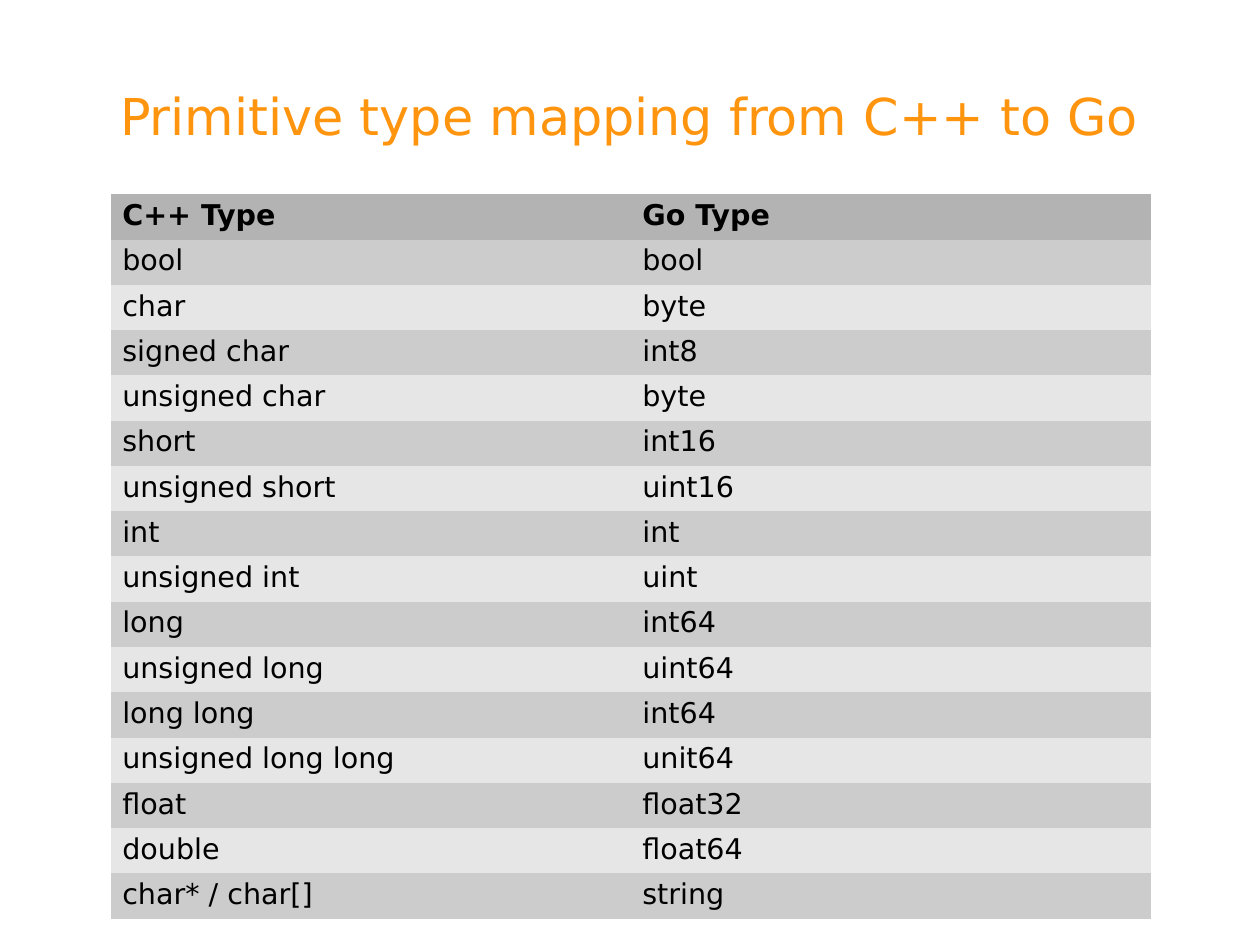
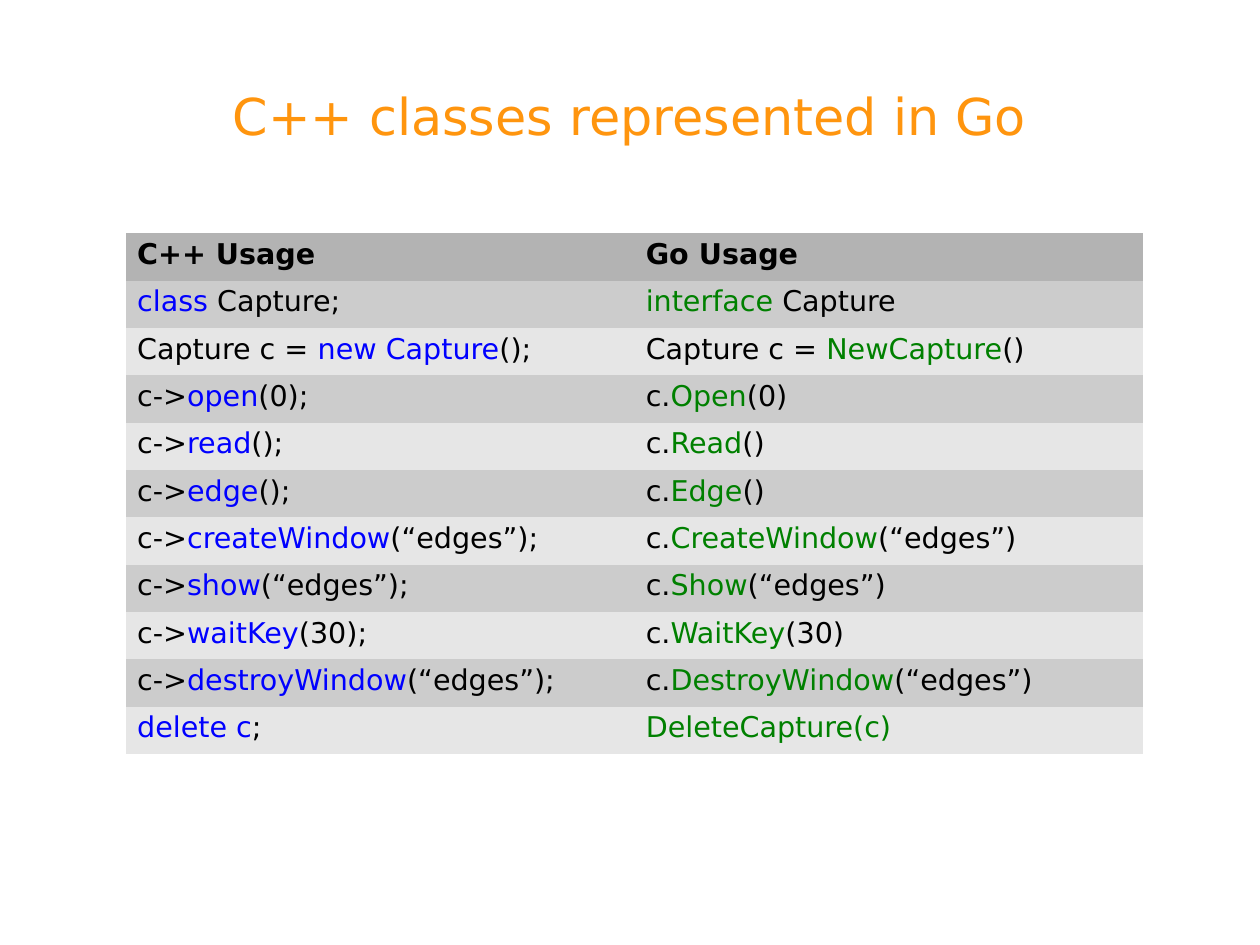
from pptx import Presentation
from pptx.dml.color import RGBColor
from pptx.enum.text import MSO_ANCHOR, PP_ALIGN
from pptx.util import Inches, Pt

CENTER = PP_ALIGN.CENTER
MIDDLE = MSO_ANCHOR.MIDDLE
BLANK = 6
CM_PER_INCH = 2.54
PLAIN_TABLE = "{2D5ABB26-0587-4C30-8999-92F81FD0307C}"

TYPES = [
    ("C++ Type", "Go Type"),
    ("bool", "bool"),
    ("char", "byte"),
    ("signed char", "int8"),
    ("unsigned char", "byte"),
    ("short", "int16"),
    ("unsigned short", "uint16"),
    ("int", "int"),
    ("unsigned int", "uint"),
    ("long", "int64"),
    ("unsigned long", "uint64"),
    ("long long", "int64"),
    ("unsigned long long", "unit64"),
    ("float", "float32"),
    ("double", "float64"),
    ("char* / char[]", "string"),
]

CALLS = [
    ("open", "0"),
    ("read", ""),
    ("edge", ""),
    ("createWindow", "“edges”"),
    ("show", "“edges”"),
    ("waitKey", "30"),
    ("destroyWindow", "“edges”"),
]

USAGE = [
    ("C++ Usage", "Go Usage"),
    ("|class| Capture;", "|interface| Capture"),
    ("Capture c = |new Capture|();", "Capture c = |NewCapture|()"),
    *[(f"c->|{name}|({args});", f"c.|{name[0].upper()}{name[1:]}|({args})")
      for name, args in CALLS],
    ("|delete c|;", "|DeleteCapture(c)|"),
]


def rgb(value):
    return RGBColor.from_string(value)


class Deck:
    font = "DejaVu Sans"
    title_color = "FF950E"
    text_color = "000000"
    header_fill = "B3B3B3"
    band_fills = ("E6E6E6", "CCCCCC")
    keyword_colors = ("0000FF", "008000")

    def __init__(self, prs):
        self.prs = prs

    def new_slide(self, title):
        self.slide = self.prs.slides.add_slide(self.prs.slide_layouts[BLANK])
        self.title(title)

    def run(self, p, text, size, color, bold=False):
        r = p.add_run()
        r.text = text
        r.font.name = self.font
        r.font.size = Pt(size)
        r.font.bold = bold
        r.font.color.rgb = rgb(color)

    def title(self, text):
        s = self.slide.shapes.add_textbox(
            Inches(0.55), Inches(0.33), Inches(9.92), Inches(1.38))
        tf = s.text_frame
        tf.word_wrap = True
        tf.vertical_anchor = MIDDLE
        tf.margin_left = tf.margin_right = tf.margin_bottom = 0
        tf.margin_top = Inches(0.01)
        p = tf.paragraphs[0]
        p.alignment = CENTER
        p.line_spacing = 0.98
        self.run(p, text, 32, self.title_color)

    def table(self, rows, left, top, width, height):
        s = self.slide.shapes.add_table(
            len(rows), len(rows[0]),
            Inches(left), Inches(top), Inches(width), Inches(height))
        s.element.xpath(".//a:tableStyleId")[0].text = PLAIN_TABLE
        s.table.first_row = s.table.horz_banding = False
        for i, row in enumerate(rows):
            for j, text in enumerate(row):
                self.cell(s.table.cell(i, j), text, i, self.keyword_colors[j])

    def cell(self, cell, text, row, keyword_color):
        header = row == 0
        cell.fill.solid()
        cell.fill.fore_color.rgb = rgb(
            self.header_fill if header else self.band_fills[row % 2])
        p = cell.text_frame.paragraphs[0]
        p.line_spacing = 0.96
        for k, part in enumerate(text.split("|")):
            if part:
                color = keyword_color if k % 2 else self.text_color
                self.run(p, part, 18, color, header)


def main():
    prs = Presentation()
    prs.slide_width = Inches(28 / CM_PER_INCH)
    prs.slide_height = Inches(21 / CM_PER_INCH)
    deck = Deck(prs)
    deck.new_slide("Primitive type mapping from C++ to Go")
    deck.table(TYPES, 0.97, 1.7, 9.1, 6.34)
    deck.new_slide("C++ classes represented in Go")
    deck.table(USAGE, 1.1, 2.04, 8.9, 4.56)
    prs.save("out.pptx")


if __name__ == "__main__":
    main()
